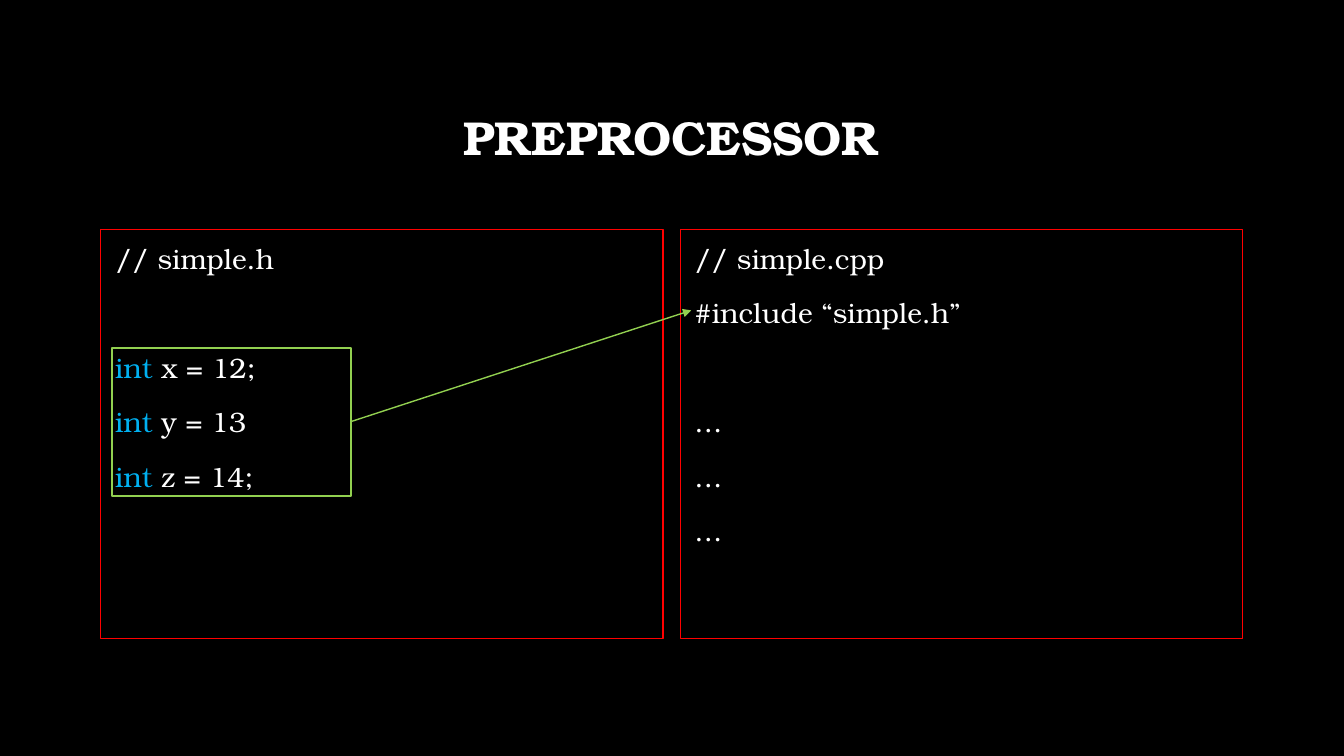
from collections import namedtuple

from pptx import Presentation
from pptx.dml.color import RGBColor
from pptx.enum import shapes, text
from pptx.oxml import xmlchemy
from pptx.util import Cm, Pt

FONT = "TeX Gyre Bonum"
WHITE, BLACK, RED, GREEN, BLUE = "FFFFFF", "000000", "FF0000", "92D050", "00B0F0"
LINE_GAP = 10     # points before each code line
SECTION_GAP = 49  # the same plus one empty line

Box = namedtuple("Box", "left top width height")


def color(hex_code):
    """Turn a hex string into a colour."""
    return RGBColor.from_string(hex_code)


def add_frame(slide, box, line_color, line_width):
    """Add an unfilled rectangle with a coloured outline."""
    frame = slide.shapes.add_shape(shapes.MSO_SHAPE.RECTANGLE, *map(Cm, box))
    frame.shadow.inherit = False
    frame.fill.background()
    frame.line.color.rgb = color(line_color)
    frame.line.width = Pt(line_width)
    return frame


def set_font(paragraph, size, bold=False):
    """Give a paragraph the slide's typeface in white."""
    font = paragraph.font
    font.name, font.size, font.bold = FONT, Pt(size), bold
    font.color.rgb = color(WHITE)


def add_title(slide, box, wording):
    """Add the centred heading."""
    frame = slide.shapes.add_textbox(*map(Cm, box)).text_frame
    frame.word_wrap = True
    frame.vertical_anchor = text.MSO_ANCHOR.MIDDLE
    heading = frame.paragraphs[0]
    heading.text = wording
    heading.alignment = text.PP_ALIGN.CENTER
    heading.line_spacing = 0.9
    set_font(heading, 34, bold=True)


def add_code_line(paragraph, code, gap):
    """Write one line of code, with the keyword int in blue."""
    paragraph.alignment = text.PP_ALIGN.LEFT
    paragraph.line_spacing = 1.2
    paragraph.space_before = Pt(gap)
    set_font(paragraph, 20)
    keyword, rest = ("int", code[3:]) if code.startswith("int ") else ("", code)
    if keyword:
        run = paragraph.add_run()
        run.text = keyword
        run.font.color.rgb = color(BLUE)
    paragraph.add_run().text = rest


def add_code_panel(slide, box, sections):
    """Add a red-framed source file whose sections stand one line apart."""
    frame = add_frame(slide, box, RED, 0.75).text_frame
    frame.word_wrap = True
    frame.vertical_anchor = text.MSO_ANCHOR.TOP
    frame.margin_left = Cm(0.36)
    paragraph = frame.paragraphs[0]
    for section_no, section in enumerate(sections):
        for line_no, code in enumerate(section):
            if section_no or line_no:
                paragraph = frame.add_paragraph()
            starts_section = section_no and not line_no
            add_code_line(paragraph, code, SECTION_GAP if starts_section else LINE_GAP)


def add_inclusion(slide, header_box, source_box):
    """Frame the declarations and point them to the include line."""
    declarations = add_frame(
        slide, Box(header_box.left + 0.28, header_box.top + 2.97, 6.02, 3.73), GREEN, 1.5)
    arrow = slide.shapes.add_connector(
        shapes.MSO_CONNECTOR.STRAIGHT, 0, 0,
        Cm(source_box.left + 0.28), Cm(source_box.top + 2.03))
    arrow.begin_connect(declarations, 3)
    arrow.line.color.rgb = color(GREEN)
    arrow.line.width = Pt(1)
    line = arrow.line._get_or_add_ln()
    tail = xmlchemy.OxmlElement("a:tailEnd")
    tail.set("type", "triangle")
    line.append(tail)
    line.addnext(xmlchemy.OxmlElement("a:effectLst"))


def build_preprocessor_slide(deck):
    """Add the slide showing what an include directive pastes in."""
    slide = deck.slides.add_slide(deck.slide_layouts[6])
    slide.background.fill.solid()
    slide.background.fill.fore_color.rgb = color(BLACK)

    header_box = Box(2.54, 5.79, 14.17, 10.29)
    source_box = header_box._replace(left=header_box.left + header_box.width + 0.43)
    add_title(slide, Box(2.54, 1.7, 28.75, 3.68), "PREPROCESSOR")
    add_code_panel(slide, header_box, [
        ["// simple.h"],
        ["int x = 12;", "int y = 13", "int z = 14;"],
    ])
    add_code_panel(slide, source_box, [
        ["// simple.cpp", "#include “simple.h”"],
        ["…"] * 3,
    ])
    add_inclusion(slide, header_box, source_box)


deck = Presentation()
deck.slide_width, deck.slide_height = Cm(33.87), Cm(19.05)
build_preprocessor_slide(deck)
deck.save("out.pptx")
